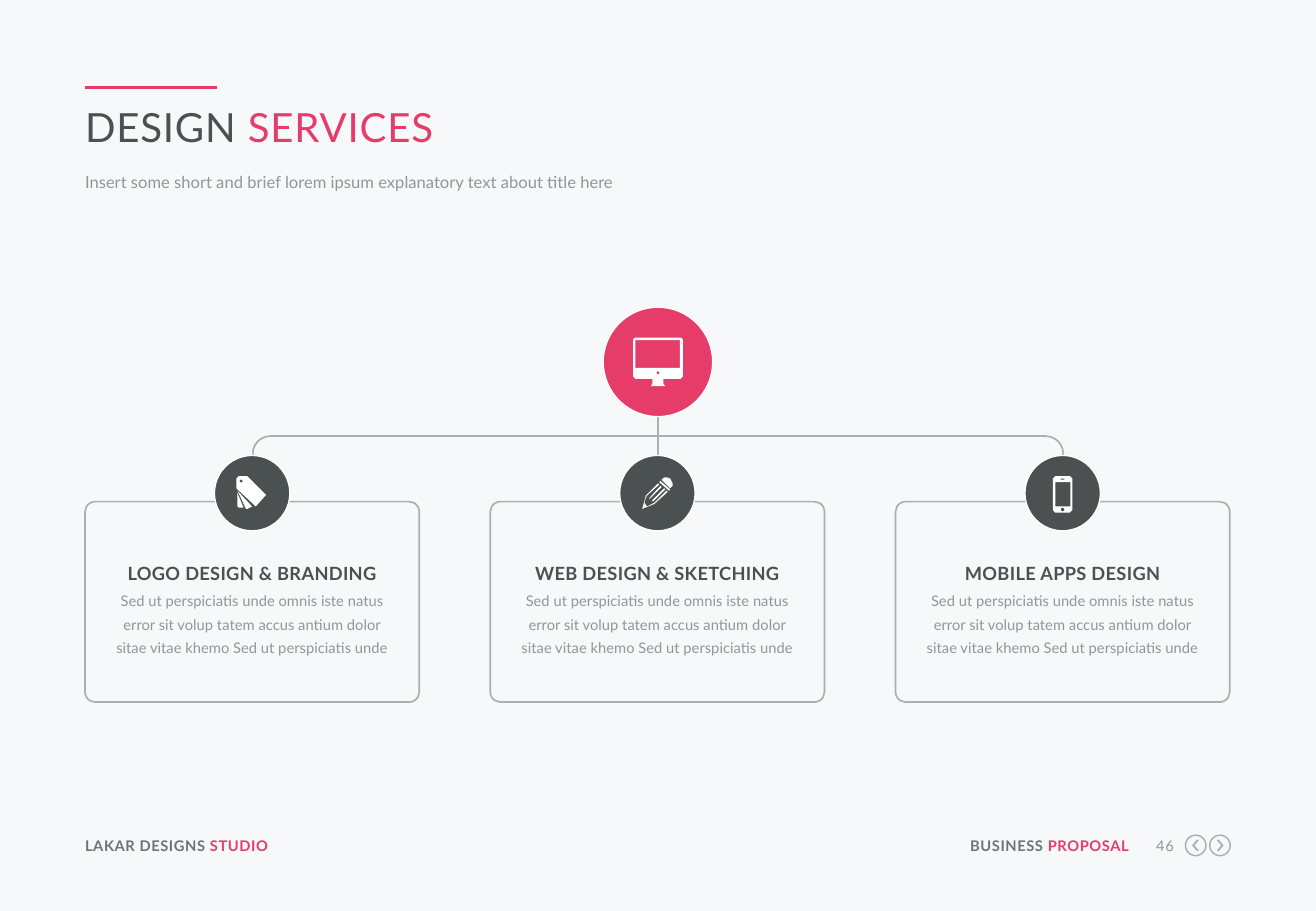
import math

import pptx
import pptx.dml.color
import pptx.enum.shapes
import pptx.enum.text
import pptx.oxml.ns
import pptx.util
from lxml import etree

RGB = pptx.dml.color.RGBColor
SHAPE = pptx.enum.shapes.MSO_SHAPE
ALIGN = pptx.enum.text.PP_ALIGN
Pt = pptx.util.Pt

PAPER = RGB(0xF6, 0xF8, 0xFA)
PINK = RGB(0xE6, 0x3C, 0x69)
DARK = RGB(0x4B, 0x50, 0x50)
SLATE = RGB(0x6E, 0x73, 0x78)
GREY = RGB(0x91, 0x96, 0x9B)
RULE = RGB(0xAA, 0xAF, 0xB4)
WHITE = RGB(0xFF, 0xFF, 0xFF)

COLUMNS, ROWS = 1083, 750
CELL = pptx.util.Inches(0.01)
MARGIN = 70
CARD_WIDTH, CARD_HEIGHT, CARD_PITCH = 275, 165, 333.5

TITLE = {"size": Pt(23.8)}
SUBTITLE = {"size": Pt(9.8)}
HEADING = {"size": Pt(10.8), "bold": True}
BODY = {"size": Pt(8.7)}
FOOTER = {"size": Pt(8.7), "bold": True}


def circle(x, y, radius, steps=48):
    angles = [2 * math.pi * step / steps for step in range(steps)]
    return [(x + radius * math.cos(a), y + radius * math.sin(a)) for a in angles]


def rectangle(left, top, right, bottom):
    return [(left, top), (right, top), (right, bottom), (left, bottom)]


MONITOR = [
    [(0, 1.5), (1.5, 0), (39.5, 0), (41, 1.5), (41, 32), (39, 34), (25, 34), (25, 38),
     (26.5, 40), (14.5, 40), (16, 38), (16, 34), (2, 34), (0, 32)],
    rectangle(2, 2, 38.5, 25),
    circle(20.5, 29, 1.2),
]
TAGS = [
    [(0, 9), (0, 2), (2, 0), (9, 0), (10, 1), (24.5, 15.5), (16, 25), (15, 24), (0, 10)],
    [(1, 12), (13, 25), (9, 27), (8, 27)],
    [(1, 14), (6, 26), (2, 26), (1, 25)],
    circle(4, 4, 1.2),
]
PENCIL = [
    [(0, 26), (3, 15), (13, 5), (14, 6), (4, 15), (3, 17), (2, 20), (2, 21), (4, 24),
     (10, 21), (20, 11), (21, 12), (10, 22)],
    [(6, 17), (15, 7), (16, 8), (6, 18)],
    [(8, 19), (18, 9), (19, 10), (9, 20)],
    [(14, 4), (15, 3), (23, 10), (22, 11)],
    [(16, 2), (17, 1), (18.5, 0), (20, 0), (23, 1), (24, 3), (25, 5), (25, 7), (23, 9)],
]
PHONE = [
    [(0, 2), (2, 0), (14, 0), (16, 2), (16, 28), (14, 30), (2, 30), (0, 28)],
    rectangle(2, 5, 14.5, 25),
    rectangle(6.5, 2, 9.5, 3),
    circle(8, 27.5, 1.5),
]
NEXT = [
    circle(9, 9, 9),
    circle(9, 9, 7.8),
    [(6.5, 5), (7.8, 4), (12, 9), (7.8, 14), (6.5, 13), (10, 9)],
]
PREVIOUS = [[(18 - x, y) for x, y in contour] for contour in NEXT]

COPY = ("Sed ut perspiciatis unde omnis iste natus error sit volup tatem accus "
        "antium dolor sitae vitae khemo Sed ut perspiciatis unde")
SERVICES = [
    ("LOGO DESIGN & BRANDING", TAGS, (-13, 392)),
    ("WEB DESIGN & SKETCHING", PENCIL, (-12.5, 393)),
    ("MOBILE APPS DESIGN", PHONE, (-8, 392)),
]


def cells(*counts):
    return [round(count * CELL) for count in counts]


def add_text(page, box, spans, formats, align=ALIGN.LEFT, spacing=0, leading=None):
    frame = page.shapes.add_textbox(*cells(*box)).text_frame
    for side in ("left", "right", "top", "bottom"):
        setattr(frame, "margin_" + side, 0)
    frame.word_wrap = True
    para = frame.paragraphs[0]
    para.alignment = align
    if leading:
        para.line_spacing = Pt(leading)
    for words, colour in spans:
        span = para.add_run()
        span.text = words
        for name, value in {"name": "Lato", **formats}.items():
            setattr(span.font, name, value)
        span.font.color.rgb = colour
        if spacing:
            span._r.get_or_add_rPr().set("spc", str(spacing))


def add_line(page, start, end, colour=RULE, width=1):
    line = page.shapes.add_connector(
        pptx.enum.shapes.MSO_CONNECTOR.STRAIGHT, *cells(*start, *end))
    line.line.color.rgb = colour
    line.line.width = Pt(width)
    etree.SubElement(line._element.spPr, pptx.oxml.ns.qn("a:effectLst"))


def add_figure(page, kind, box, fill=None, line=RULE, width=1, adjustments=()):
    figure = page.shapes.add_shape(kind, *cells(*box))
    figure.shadow.inherit = False
    if fill is None:
        figure.fill.background()
    else:
        figure.fill.solid()
        figure.fill.fore_color.rgb = fill
    figure.line.color.rgb = line
    figure.line.width = Pt(width)
    for index, value in enumerate(adjustments):
        figure.adjustments[index] = value


def add_icon(page, left, top, contours, colour=WHITE):
    placed = [[cells(left + x, top + y) for x, y in contour] for contour in contours]
    builder = page.shapes.build_freeform(*placed[0][0])
    for contour in placed:
        builder.move_to(*contour[0])
        builder.add_line_segments(contour[1:], close=True)
    icon = builder.convert_to_shape()
    icon.shadow.inherit = False
    icon.fill.solid()
    icon.fill.fore_color.rgb = colour
    icon.line.fill.background()


def add_disc(page, centre, top, size, fill):
    add_figure(page, SHAPE.OVAL, (centre - size / 2, top, size, size), fill, WHITE, 0.75)


def draw_header(page, left, top, width):
    add_line(page, (left, top), (left + 109, top), PINK, 2.25)
    add_text(page, (left, top + 12, width, 41),
             [("DESIGN", DARK), (" SERVICES", PINK)], TITLE, spacing=50)
    add_text(page, (left, top + 68, width, 21),
             [("Insert some short and brief lorem ipsum explanatory text about title here", GREY)],
             SUBTITLE, leading=13)


def draw_branches(page, centre, top, reach):
    size = 29
    for side, turn in ((-1, (108, 162)), (1, (162, 0))):
        end = centre + side * reach
        add_figure(page, SHAPE.ARC, (end - (size if side > 0 else 0), top, size, size),
                   adjustments=turn)
        add_line(page, (end, top + size / 2), (end, top + 20))
        add_line(page, (end - side * size / 2, top), (centre, top))
    add_line(page, (centre, top - 16), (centre, top + 16))


def draw_hub(page, centre, top):
    add_disc(page, centre, top, 90, PINK)
    add_icon(page, centre - 20.5, top + 25, MONITOR)


def draw_card(page, left, top, service):
    heading, icon, (shift, icon_top) = service
    centre = left + CARD_WIDTH / 2
    add_figure(page, SHAPE.ROUNDED_RECTANGLE, (left, top, CARD_WIDTH, CARD_HEIGHT),
               adjustments=(0.05,))
    add_disc(page, centre, top - 38, 62, DARK)
    add_icon(page, centre + shift, icon_top, icon)
    add_text(page, (centre - 120.5, top + 42, 241, 25), [(heading, DARK)], HEADING,
             ALIGN.CENTER, 20, 18.4)
    add_text(page, (centre - 120, top + 69, 240, 59), [(COPY, GREY)], BODY,
             ALIGN.CENTER, leading=14.1)


def draw_footer(page, left, top):
    add_text(page, (left, top, 211, 15),
             [("LAKAR DESIGNS ", SLATE), ("STUDIO", PINK)], FOOTER, spacing=30)
    add_text(page, (left + 722, top, 137, 15),
             [("BUSINESS ", SLATE), ("PROPOSAL", PINK)], FOOTER, ALIGN.RIGHT, 30)
    add_text(page, (left + 871, top, 25, 15), [("46", GREY)], BODY, ALIGN.RIGHT, 30)
    for index, arrow in enumerate((PREVIOUS, NEXT)):
        add_icon(page, left + 905 + 20 * index, top - 2, arrow, RULE)


def main():
    deck = pptx.Presentation()
    deck.slide_width, deck.slide_height = cells(COLUMNS, ROWS)
    page = deck.slides.add_slide(deck.slide_layouts[6])
    page.background.fill.solid()
    page.background.fill.fore_color.rgb = PAPER
    centre = COLUMNS / 2
    draw_header(page, MARGIN, 72, 942)
    draw_branches(page, centre, 359, CARD_PITCH)
    for index, service in enumerate(SERVICES):
        draw_card(page, MARGIN + index * CARD_PITCH, 413, service)
    draw_hub(page, centre, 253)
    draw_footer(page, MARGIN, 689)
    deck.save("out.pptx")


if __name__ == "__main__":
    main()
